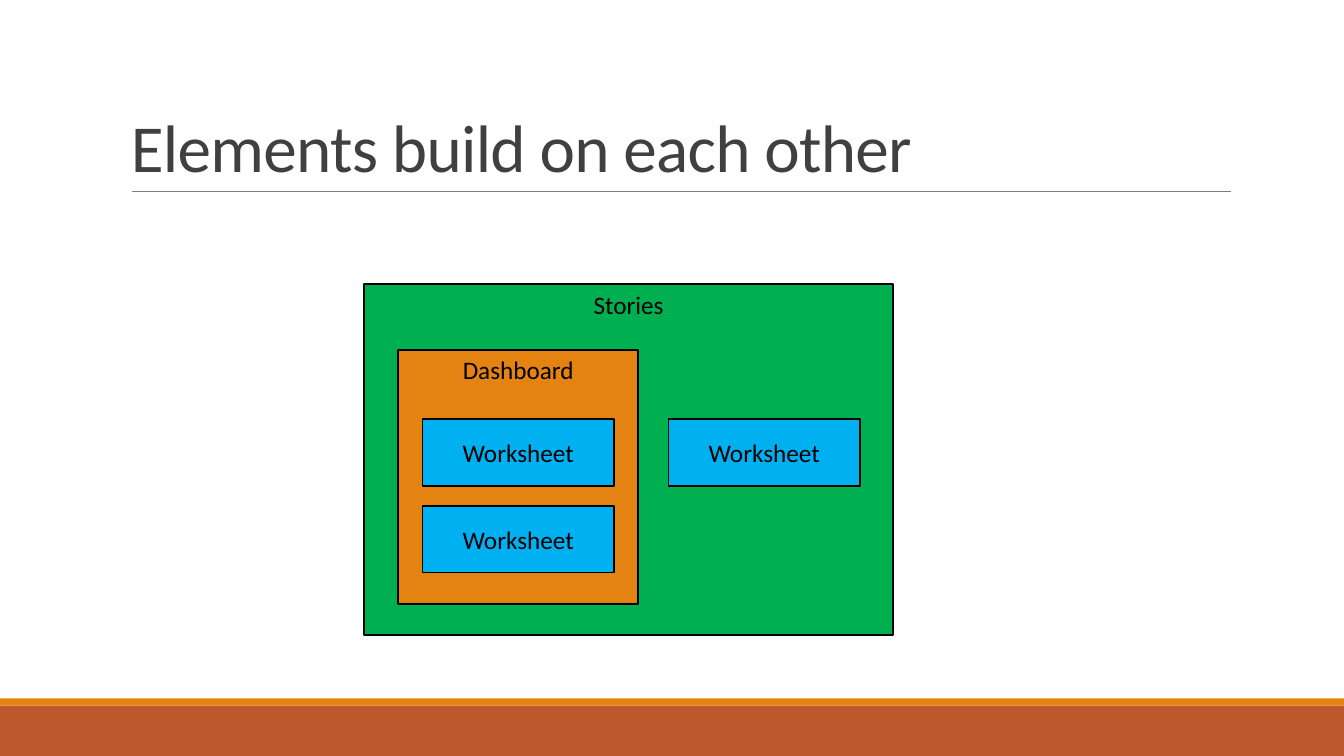
"""Build a slide showing how worksheets, dashboards and stories nest."""
from pptx import Presentation
from pptx import util as u
from pptx.dml.color import RGBColor
from pptx.enum import shapes, text
from pptx.oxml.ns import qn
from lxml import etree


def rgb(value):
    return RGBColor.from_string(value)


def write(sp, words, size, color, anchor, align):
    tf = sp.text_frame
    tf.word_wrap = True
    tf.vertical_anchor = anchor
    p = tf.paragraphs[0]
    p.alignment = align
    r = p.add_run()
    r.text = words
    for name, value in {"name": "Calibri", "size": u.Pt(size)}.items():
        setattr(r.font, name, value)
    r.font.color.rgb = rgb(color)
    return p, r


prs = Presentation()
prs.slide_width, prs.slide_height = u.Inches(13.33), u.Inches(7.5)
s = prs.slides.add_slide(prs.slide_layouts[6])
TOP, MIDDLE = text.MSO_ANCHOR.TOP, text.MSO_ANCHOR.MIDDLE

worksheets = [("Worksheet", x, y, 1.9, 0.66, "00B0F0", MIDDLE)
              for x, y in [(4.19, 4.16), (4.19, 5.02), (6.63, 4.16)]]
boxes = [
    ("", 0, 7, 13.33, 0.5, "BD582C", TOP),
    ("", 0, 6.93, 13.33, 0.07, "E48312", TOP),
    ("Stories", 3.61, 2.82, 5.25, 3.48, "00B050", TOP),
    ("Dashboard", 3.95, 3.47, 2.38, 2.52, "E48312", TOP),
] + worksheets
for label, x, y, w, h, fill, anchor in boxes:
    sp = s.shapes.add_shape(shapes.MSO_SHAPE.RECTANGLE, *map(u.Inches, (x, y, w, h)))
    sp.shadow.inherit = False
    sp.fill.solid()
    sp.fill.fore_color.rgb = rgb(fill)
    if label:
        sp.line.color.rgb = rgb("000000")
        sp.line.width = u.Pt(1.25)
        write(sp, label, 18, "000000", anchor, text.PP_ALIGN.CENTER)
    else:
        sp.line.fill.background()

rule = s.shapes.add_connector(shapes.MSO_CONNECTOR.STRAIGHT,
                              *map(u.Inches, (1.31, 1.9, 12.21, 1.9)))
rule.line.color.rgb = rgb("808080")
rule.line.width = u.Pt(0.5)
etree.SubElement(rule._element.spPr, qn("a:effectLst"))

title = s.shapes.add_textbox(*map(u.Inches, (1.2, 0.31, 11, 1.59)))
p, r = write(title, "Elements build on each other", 48, "404040",
             text.MSO_ANCHOR.BOTTOM, text.PP_ALIGN.LEFT)
p.line_spacing = 0.85
r._r.get_or_add_rPr().set("spc", "-50")

prs.save("out.pptx")
